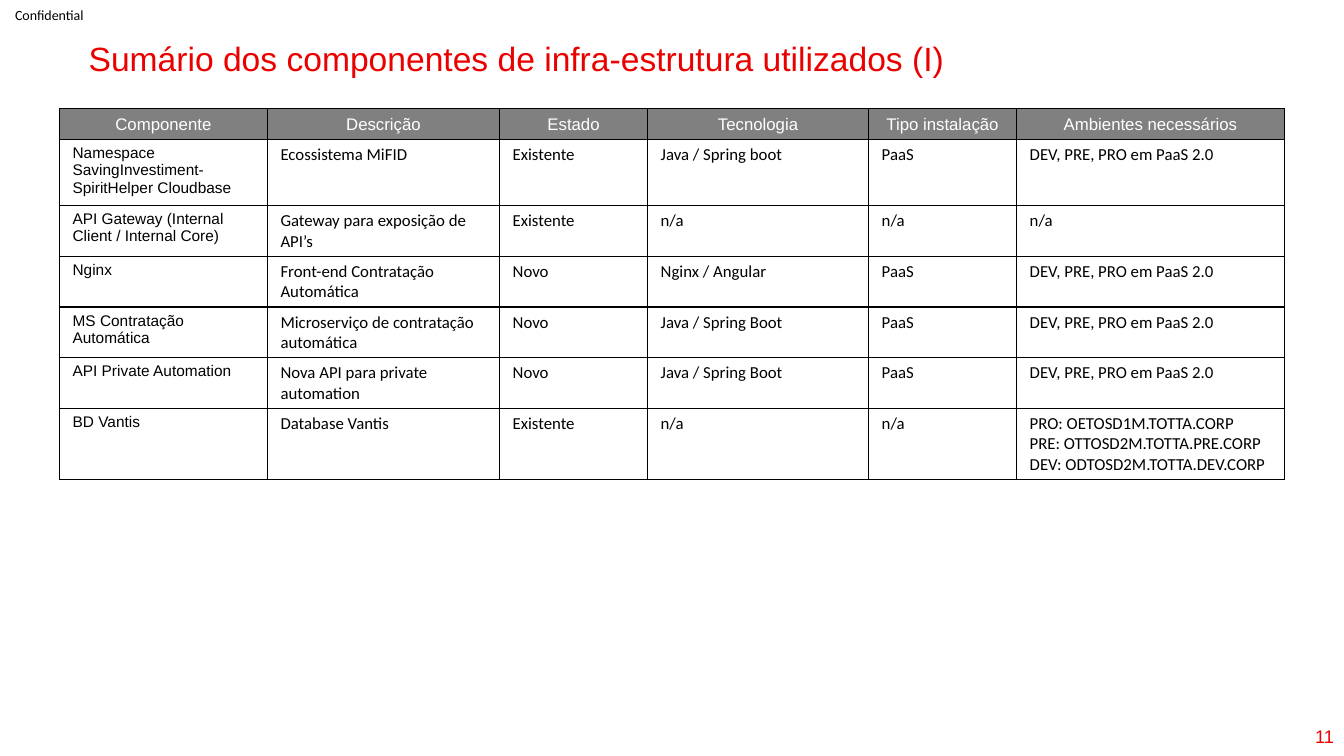
from lxml.etree import SubElement
from pptx import Presentation
from pptx.dml.color import RGBColor
from pptx.enum.text import MSO_ANCHOR as Anchor, MSO_AUTO_SIZE as Fit, PP_ALIGN as Align
from pptx.oxml.ns import qn
from pptx.util import Cm, Pt

RED = RGBColor(0xEB, 0x00, 0x00)
GREY = RGBColor(0x80, 0x80, 0x80)
BLACK = RGBColor(0x00, 0x00, 0x00)
WHITE = RGBColor(0xFF, 0xFF, 0xFF)

HEADS = ["Componente", "Descrição", "Estado", "Tecnologia", "Tipo instalação",
         "Ambientes necessários"]
ENVS = "DEV, PRE, PRO em PaaS 2.0"
HOSTS = ("PRO: OETOSD1M.TOTTA.CORP\nPRE: OTTOSD2M.TOTTA.PRE.CORP\n"
         "DEV: ODTOSD2M.TOTTA.DEV.CORP")
PARTS = [
    ["Namespace SavingInvestiment-SpiritHelper Cloudbase", "Ecossistema MiFID",
     "Existente", "Java / Spring boot", "PaaS", ENVS],
    ["API Gateway (Internal Client / Internal Core)", "Gateway para exposição de API’s",
     "Existente", "n/a", "n/a", "n/a"],
    ["Nginx", "Front-end Contratação Automática", "Novo", "Nginx / Angular", "PaaS", ENVS],
    ["MS Contratação Automática", "Microserviço de contratação automática",
     "Novo", "Java / Spring Boot", "PaaS", ENVS],
    ["API Private Automation", "Nova API para private automation",
     "Novo", "Java / Spring Boot", "PaaS", ENVS],
    ["BD Vantis", "Database Vantis", "Existente", "n/a", "n/a", HOSTS],
]
WIDTHS = [5.24, 5.85, 3.73, 5.57, 3.73, 6.75]
HEIGHTS = [0.78, 1.66, 1.27, 1.27, 1.27, 1.27, 1.8]


class Deck:
    head, body = "Arial", "Calibri"

    def __init__(self):
        self.prs = Presentation()
        self.prs.slide_width, self.prs.slide_height = Cm(33.87), Cm(19.05)
        self.slide = self.prs.slides.add_slide(self.prs.slide_layouts[5])

    def style(self, frame, text, font, size, color, align=Align.LEFT):
        """Set the text of a frame and format its runs."""
        frame.text = text
        for para in frame.paragraphs:
            para.alignment = align
            for run in para.runs:
                run.font.name, run.font.size = font, Pt(size)
                run.font.color.rgb, run.font.bold = color, False

    def title(self, text, box):
        shape = self.slide.shapes.title
        shape.left, shape.top, shape.width, shape.height = map(Cm, box)
        frame = shape.text_frame
        self.style(frame, text, self.head, 24, RED)
        frame.auto_size, frame.word_wrap = Fit.NONE, True
        frame.vertical_anchor = Anchor.TOP
        frame.paragraphs[0].line_spacing = 0.9
        frame.paragraphs[0].space_before = Pt(0)

    def label(self, text, box, font, size, color, align=Align.LEFT, inset=0.25):
        frame = self.slide.shapes.add_textbox(*map(Cm, box)).text_frame
        frame.word_wrap, frame.vertical_anchor = True, Anchor.MIDDLE
        frame.margin_left = frame.margin_right = Cm(inset)
        frame.margin_top = frame.margin_bottom = Cm(inset / 2)
        self.style(frame, text, font, size, color, align)

    def border(self, cell):
        props = cell._tc.get_or_add_tcPr()
        for side in ("lnL", "lnR", "lnT", "lnB"):
            line = SubElement(props, qn(f"a:{side}"), w=str(Pt(1)))
            fill = SubElement(line, qn("a:solidFill"))
            SubElement(fill, qn("a:srgbClr"), val=str(BLACK))

    def cell(self, cell, text, row, col):
        self.border(cell)
        cell.margin_left = cell.margin_right = Cm(0.33)
        cell.margin_top = cell.margin_bottom = Cm(0.13)
        if row == 0:
            look = self.head, 12, WHITE, Align.CENTER
        elif col == 0:
            look = self.head, 11, BLACK
        else:
            look = self.body, 12, BLACK
        self.style(cell.text_frame, text, *look)
        cell.vertical_anchor = Anchor.TOP if row else Anchor.MIDDLE
        if row and col:
            cell.fill.background()
        else:
            cell.fill.solid()
            cell.fill.fore_color.rgb = WHITE if row else GREY

    def table(self, rows, left, top):
        grid = self.slide.shapes.add_table(
            len(rows), len(WIDTHS), Cm(left), Cm(top),
            Cm(sum(WIDTHS)), Cm(sum(HEIGHTS))).table
        grid.horz_banding = False
        for col, width in zip(grid.columns, WIDTHS):
            col.width = Cm(width)
        for row, height in zip(grid.rows, HEIGHTS):
            row.height = Cm(height)
        for r, texts in enumerate(rows):
            for c, text in enumerate(texts):
                self.cell(grid.cell(r, c), text, r, c)


def main():
    deck = Deck()
    deck.label("Confidential", (0.38, 0, 2.5, 0.74), deck.body, 10, BLACK, inset=0)
    deck.title("Sumário dos componentes de infra-estrutura utilizados (I)",
               (1.98, 0.94, 26.9, 0.84))
    deck.table([HEADS] + PARTS, 1.5, 2.74)
    deck.label("11", (32.82, 18.03, 1.05, 1.02), deck.head, 13, RED, Align.RIGHT)
    deck.prs.save("out.pptx")


if __name__ == "__main__":
    main()
